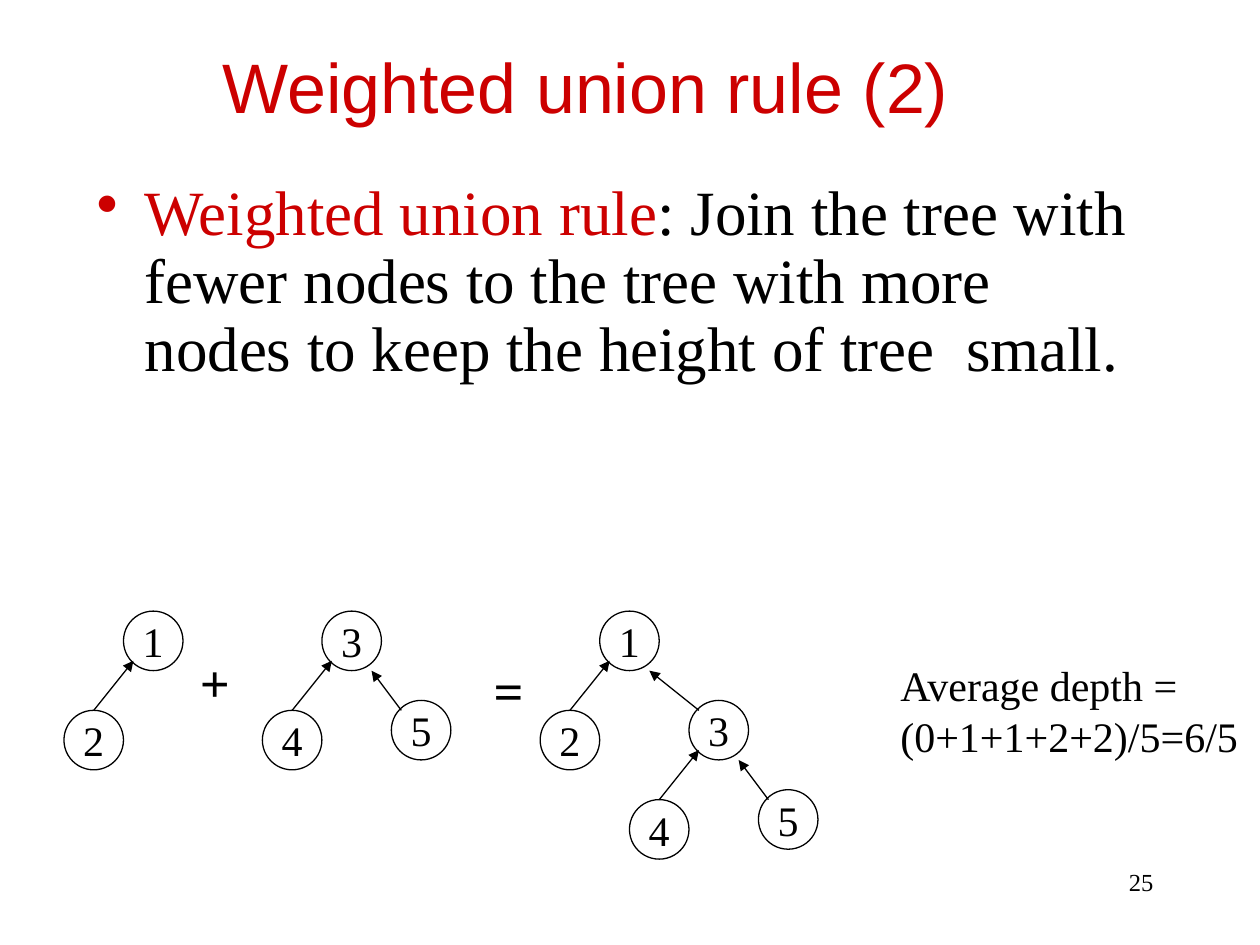
from lxml.etree import SubElement
from pptx import Presentation
from pptx.dml.color import RGBColor
from pptx.enum.shapes import MSO_CONNECTOR, MSO_SHAPE
from pptx.enum.text import MSO_ANCHOR, PP_ALIGN
from pptx.oxml.ns import qn
from pptx.util import Inches, Mm, Pt

COLORS = {"red": "CC0000", "black": "000000"}
SERIF = "Times New Roman"
CELL = 2
NODE = 6


def units(*cells):
    return [Mm(cell * CELL) for cell in cells]


def tint(name):
    return RGBColor.from_string(COLORS[name])


def write(frame, lines, size=24, font=SERIF, color="black", bold=False,
          align=PP_ALIGN.LEFT, anchor=MSO_ANCHOR.TOP, wrap=False,
          bullet=None, space=None):
    frame.word_wrap = wrap
    frame.vertical_anchor = anchor
    for at, line in enumerate(lines):
        para = frame.paragraphs[0] if at == 0 else frame.add_paragraph()
        para.alignment = align
        if space:
            para.line_spacing = space
        if bullet:
            props = para._p.get_or_add_pPr()
            props.set("marL", str(Inches(0.38)))
            props.set("indent", str(-Inches(0.38)))
            SubElement(props, qn("a:buChar"), char=bullet)
        parts = [(line, color)] if isinstance(line, str) else line
        for text, shade in parts:
            run = para.add_run()
            run.text = text
            run.font.size = Pt(size)
            run.font.name = font
            run.font.bold = bold
            run.font.color.rgb = tint(shade)


class Board:
    def __init__(self, slide, width=0.75):
        self.shapes = slide.shapes
        self.width = Pt(width)

    def text(self, box, *lines, **style):
        label = self.shapes.add_textbox(*units(*box))
        write(label.text_frame, lines, **style)

    def node(self, left, top, text):
        disc = self.shapes.add_shape(
            MSO_SHAPE.OVAL, *units(left, top, NODE, NODE))
        disc.shadow.inherit = False
        disc.fill.background()
        disc.line.color.rgb = tint("black")
        disc.line.width = self.width
        write(disc.text_frame, [text], align=PP_ALIGN.CENTER,
              anchor=MSO_ANCHOR.MIDDLE)

    def arrow(self, start, end):
        line = self.shapes.add_connector(
            MSO_CONNECTOR.STRAIGHT, *units(*start, *end))
        line.line.color.rgb = tint("black")
        line.line.width = self.width
        SubElement(line.line._get_or_add_ln(), qn("a:tailEnd"),
                   type="triangle")
        SubElement(line._element.spPr, qn("a:effectLst"))

    def tree(self, left, top, root, first, second=None, gap=7):
        self.node(left, top, root)
        self.node(left - NODE, top + 10, first)
        self.arrow((left - 3, top + 10), (left + 1, top + 5))
        if second:
            self.arrow((left + gap + 1, top + 10), (left + 5, top + 6))
            if isinstance(second, str):
                self.node(left + gap, top + 9, second)
            else:
                self.tree(left + gap, top + 9, *second)


def main():
    deck = Presentation()
    deck.slide_width, deck.slide_height = Inches(10), Inches(7.5)
    board = Board(deck.slides.add_slide(deck.slide_layouts[6]))

    board.text((9.5, 4.6, 99, 8.1), "Weighted union rule (2)", size=40,
               font="Arial", color="red", align=PP_ALIGN.CENTER,
               anchor=MSO_ANCHOR.MIDDLE, wrap=True)
    board.text((8.5, 17.65, 108, 57.15),
               [("Weighted union rule", "red"),
                (": Join the tree with fewer nodes to the tree with more "
                 "nodes to keep the height of tree  small.", "black")],
               size=36, wrap=True, bullet="•", space=0.9)

    top = 61.6
    small = ("3", "4", "5")
    board.tree(12.45, top, "1", "2")
    board.tree(32.45, top, *small)
    board.tree(60.45, top, "1", "2", small, gap=9)

    for left, high, sign in ((18.9, 64.9, "+"), (48.5, 65.7, "=")):
        board.text((left, high, 5.6, 7.6), sign, size=30, bold=True)
    board.text((89.5, 65.9, 36.6, 11.4), "Average depth =",
               "(0+1+1+2+2)/5=6/5")
    board.text((91, 86.75, 26.5, 6.35), "25", size=14,
               align=PP_ALIGN.RIGHT, wrap=True)
    deck.save("out.pptx")


if __name__ == "__main__":
    main()
